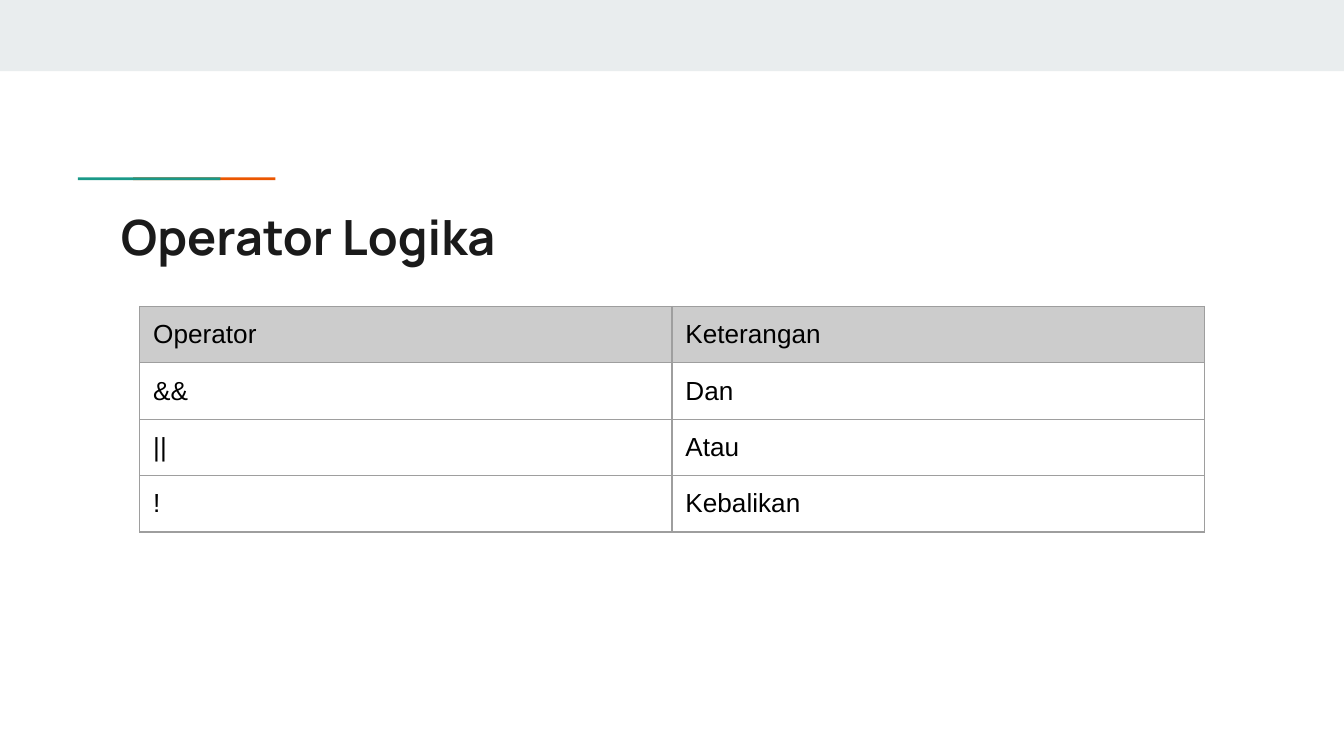
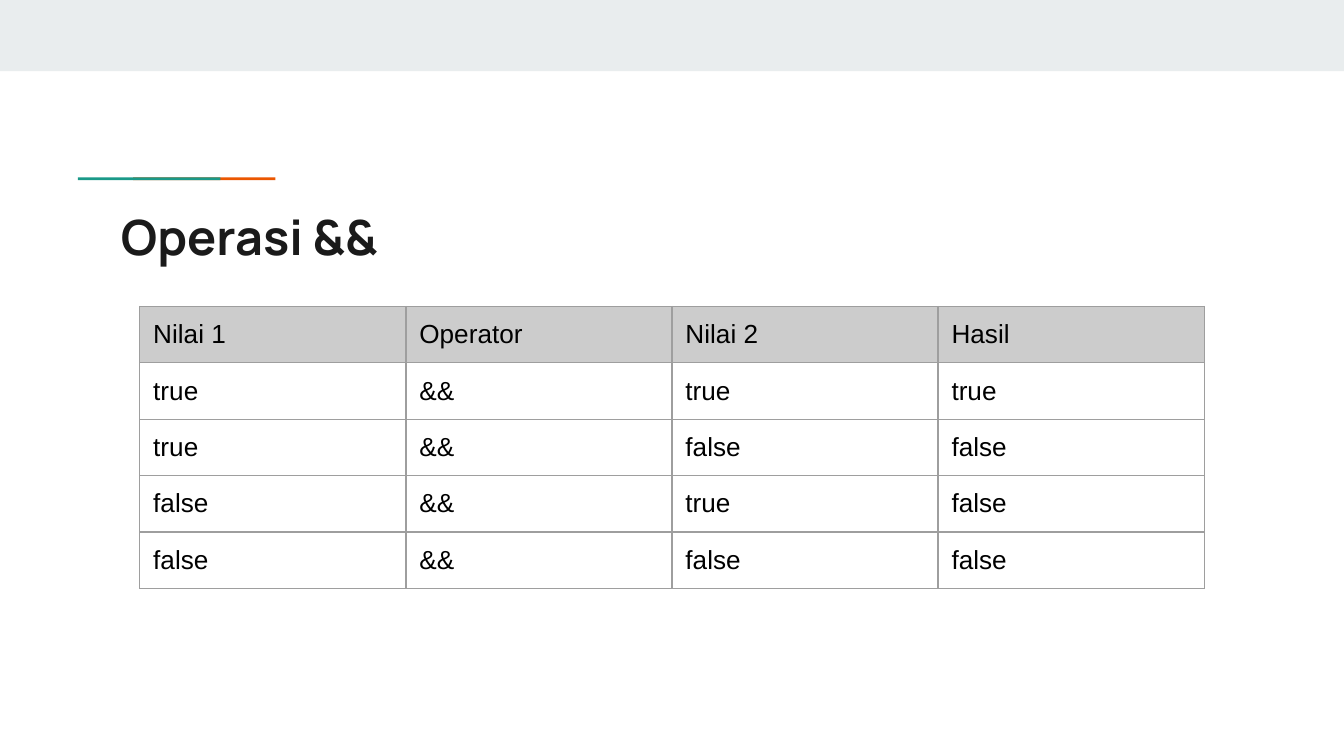
"""Build two slides that explain logical operators with tables."""
from dataclasses import dataclass

import lxml.etree
import pptx
import pptx.dml.color
import pptx.enum.shapes
import pptx.enum.text
import pptx.oxml.ns
import pptx.slide
import pptx.table
import pptx.text.text
import pptx.util

Inches = pptx.util.Inches
Pt = pptx.util.Pt

COLORS = {
    "band": "E9EDEE",
    "orange": "EB5600",
    "teal": "1A9988",
    "title": "1A1A1A",
    "header": "CCCCCC",
    "border": "9E9E9E",
    "text": "000000",
}
SLIDE_WIDTH = Inches(10)
SLIDE_SIZE = {"slide_width": SLIDE_WIDTH, "slide_height": SLIDE_WIDTH * 9 // 16}
TITLE_FONT = {"name": "Manrope", "size": Pt(26), "bold": True}
CELL_FONT = {"name": "Arial", "size": Pt(14), "bold": False}
TITLE_PLACE = {
    "left": Inches(0.8),
    "top": Inches(1.44),
    "width": Inches(8.41),
    "height": Inches(0.59),
}
MARGINS = {f"margin_{side}": Inches(0.1) for side in ("left", "top", "right", "bottom")}
TITLE_FRAME = {
    **MARGINS,
    "word_wrap": True,
    "auto_size": pptx.enum.text.MSO_AUTO_SIZE.NONE,
    "vertical_anchor": pptx.enum.text.MSO_ANCHOR.TOP,
}
TABLE_LEFT, TABLE_TOP, TABLE_WIDTH = Inches(1.04), Inches(2.28), Inches(7.92)
ROW_HEIGHT = Inches(0.42)
BORDER_WIDTH = Pt(0.75)


@dataclass(frozen=True)
class Bar:
    left: float
    top: float
    width: float
    height: float
    color: str


@dataclass(frozen=True)
class TableSlide:
    title: str
    rows: list[tuple[str, ...]]


BARS = [
    Bar(0, 0, 10, 0.53, "band"),
    Bar(0.99, 1.32, 1.06, 0.02, "orange"),
    Bar(0.58, 1.32, 1.06, 0.02, "teal"),
]

SLIDES = [
    TableSlide("Operator Logika", [
        ("Operator", "Keterangan"),
        ("&&", "Dan"),
        ("||", "Atau"),
        ("!", "Kebalikan"),
    ]),
    TableSlide("Operasi &&", [
        ("Nilai 1", "Operator", "Nilai 2", "Hasil"),
        ("true", "&&", "true", "true"),
        ("true", "&&", "false", "false"),
        ("false", "&&", "true", "false"),
        ("false", "&&", "false", "false"),
    ]),
]


def rgb(color: str) -> pptx.dml.color.RGBColor:
    return pptx.dml.color.RGBColor.from_string(COLORS[color])


def apply(target: object, values: dict) -> None:
    for name, value in values.items():
        setattr(target, name, value)


def write(frame: pptx.text.text.TextFrame, text: str, font: dict, color: str) -> None:
    paragraph = frame.paragraphs[0]
    paragraph.alignment = pptx.enum.text.PP_ALIGN.LEFT
    run = paragraph.add_run()
    run.text = text
    apply(run.font, font)
    run.font.color.rgb = rgb(color)


def draw_bar(slide: pptx.slide.Slide, bar: Bar) -> None:
    strip = slide.shapes.add_shape(
        pptx.enum.shapes.MSO_SHAPE.RECTANGLE,
        Inches(bar.left), Inches(bar.top), Inches(bar.width), Inches(bar.height),
    )
    strip.shadow.inherit = False
    strip.fill.solid()
    strip.fill.fore_color.rgb = rgb(bar.color)
    strip.line.fill.background()


def draw_title(slide: pptx.slide.Slide, text: str) -> None:
    title = slide.shapes.title
    apply(title, TITLE_PLACE)
    apply(title.text_frame, TITLE_FRAME)
    write(title.text_frame, text, TITLE_FONT, "title")


def add_borders(cell: pptx.table._Cell) -> None:
    qn = pptx.oxml.ns.qn
    properties = cell._tc.get_or_add_tcPr()
    for index, side in enumerate(("lnL", "lnR", "lnT", "lnB")):
        border = lxml.etree.Element(qn(f"a:{side}"), w=str(int(BORDER_WIDTH)))
        fill = lxml.etree.SubElement(border, qn("a:solidFill"))
        lxml.etree.SubElement(fill, qn("a:srgbClr"), val=COLORS["border"])
        properties.insert(index, border)


def draw_table(slide: pptx.slide.Slide, rows: list[tuple[str, ...]]) -> None:
    table = slide.shapes.add_table(
        len(rows), len(rows[0]), TABLE_LEFT, TABLE_TOP, TABLE_WIDTH, ROW_HEIGHT * len(rows)
    ).table
    apply(table, {"first_row": False, "horz_banding": False})
    for row_index, texts in enumerate(rows):
        for column_index, text in enumerate(texts):
            cell = table.cell(row_index, column_index)
            apply(cell, MARGINS)
            write(cell.text_frame, text, CELL_FONT, "text")
            if row_index == 0:
                cell.fill.solid()
                cell.fill.fore_color.rgb = rgb("header")
            else:
                cell.fill.background()
            add_borders(cell)


def main() -> None:
    deck = pptx.Presentation()
    apply(deck, SLIDE_SIZE)
    title_only = deck.slide_layouts[5]
    for content in SLIDES:
        slide = deck.slides.add_slide(title_only)
        for bar in BARS:
            draw_bar(slide, bar)
        draw_title(slide, content.title)
        draw_table(slide, content.rows)
    deck.save("out.pptx")


if __name__ == "__main__":
    main()
